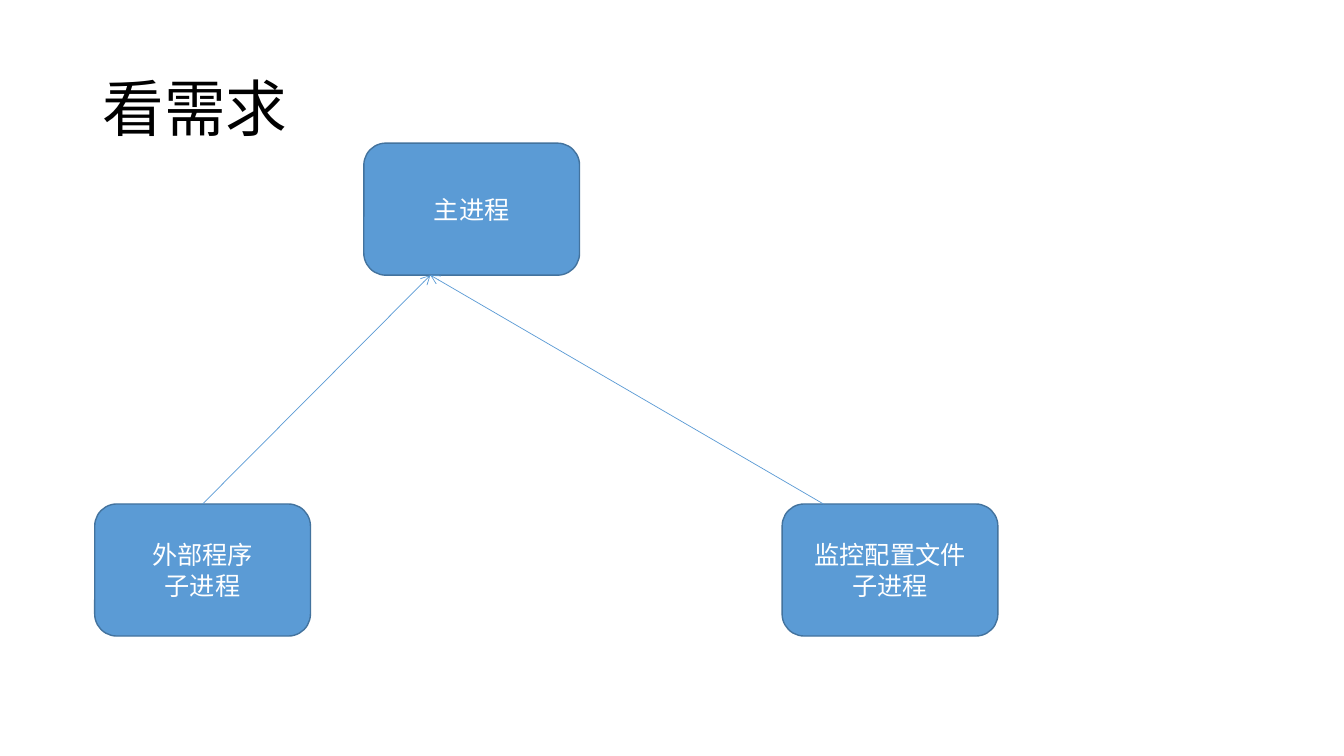
from dataclasses import dataclass

from lxml import etree
from pptx import Presentation
from pptx.dml.color import RGBColor
from pptx.enum.shapes import MSO_CONNECTOR, MSO_SHAPE
from pptx.enum.text import MSO_ANCHOR, PP_ALIGN
from pptx.oxml.ns import qn
from pptx.shapes.autoshape import Shape
from pptx.shapes.connector import Connector
from pptx.slide import Slide
from pptx.util import Pt

ROUNDED = MSO_SHAPE.ROUNDED_RECTANGLE
STRAIGHT = MSO_CONNECTOR.STRAIGHT
MIDDLE = MSO_ANCHOR.MIDDLE
CENTER = PP_ALIGN.CENTER
JUSTIFY = PP_ALIGN.JUSTIFY
TOP_SITE = 0


@dataclass(frozen=True)
class Theme:
    font: str = "Calibri"
    title_size: float = 44
    box_size: float = 18
    title_color: RGBColor = RGBColor(0x00, 0x00, 0x00)
    box_text: RGBColor = RGBColor(0xFF, 0xFF, 0xFF)
    fill: RGBColor = RGBColor(0x5B, 0x9B, 0xD5)
    outline: RGBColor = RGBColor(0x43, 0x73, 0x9E)
    outline_width: float = 1
    arrow_width: float = 0.5


@dataclass(frozen=True)
class Process:
    label: str
    left: float
    top: float


THEME = Theme()
BOX_WIDTH, BOX_HEIGHT = 154.08, 94.32
CHILD_TOP = 360
MAIN = Process("主进程", 259.92, 102.24)
EXTERNAL = Process("外部程序\n子进程", 67.68, CHILD_TOP)
MONITOR = Process("监控配置文件\n子进程", 558.72, CHILD_TOP)
ARROW_TIP = (307.44, MAIN.top + BOX_HEIGHT)
MONITOR_ARROW_X = 588.24


def write_text(shape: Shape, text: str, size: float, color: RGBColor,
               align: PP_ALIGN, spacing: float = 1.0) -> None:
    frame = shape.text_frame
    frame.word_wrap = True
    frame.vertical_anchor = MIDDLE
    frame.text = text
    for para in frame.paragraphs:
        para.alignment = align
        para.line_spacing = spacing
        for span in para.runs:
            span.font.name = THEME.font
            span.font.size = Pt(size)
            span.font.color.rgb = color


def add_title(page: Slide, text: str) -> None:
    box = page.shapes.add_textbox(Pt(66.24), Pt(27.36), Pt(828), Pt(104.4))
    write_text(box, text, THEME.title_size, THEME.title_color, JUSTIFY, 0.9)


def add_process(page: Slide, process: Process) -> Shape:
    box = page.shapes.add_shape(ROUNDED, Pt(process.left), Pt(process.top),
                                Pt(BOX_WIDTH), Pt(BOX_HEIGHT))
    box.shadow.inherit = False
    box.fill.solid()
    box.fill.fore_color.rgb = THEME.fill
    box.line.color.rgb = THEME.outline
    box.line.width = Pt(THEME.outline_width)
    write_text(box, process.label, THEME.box_size, THEME.box_text, CENTER)
    return box


def add_arrow(page: Slide, start_x: float) -> Connector:
    tip_x, tip_y = ARROW_TIP
    arrow = page.shapes.add_connector(STRAIGHT, Pt(start_x), Pt(CHILD_TOP),
                                      Pt(tip_x), Pt(tip_y))
    arrow.line.color.rgb = THEME.fill
    arrow.line.width = Pt(THEME.arrow_width)
    # Open arrowhead, no shadow
    outline = arrow.line._get_or_add_ln()
    etree.SubElement(outline, qn("a:tailEnd"), type="arrow")
    etree.SubElement(arrow._element.spPr, qn("a:effectLst"))
    return arrow


def main() -> None:
    deck = Presentation()
    deck.slide_width, deck.slide_height = Pt(960), Pt(540)
    page = deck.slides.add_slide(deck.slide_layouts[6])

    # Title
    add_title(page, "看需求")

    # Main process above its two child processes
    add_process(page, MAIN)
    external_box = add_process(page, EXTERNAL)
    add_process(page, MONITOR)

    # Arrows from the children to the main process
    external_arrow = add_arrow(page, EXTERNAL.left + BOX_WIDTH / 2)
    external_arrow.begin_connect(external_box, TOP_SITE)
    add_arrow(page, MONITOR_ARROW_X)

    deck.save("out.pptx")


if __name__ == "__main__":
    main()
